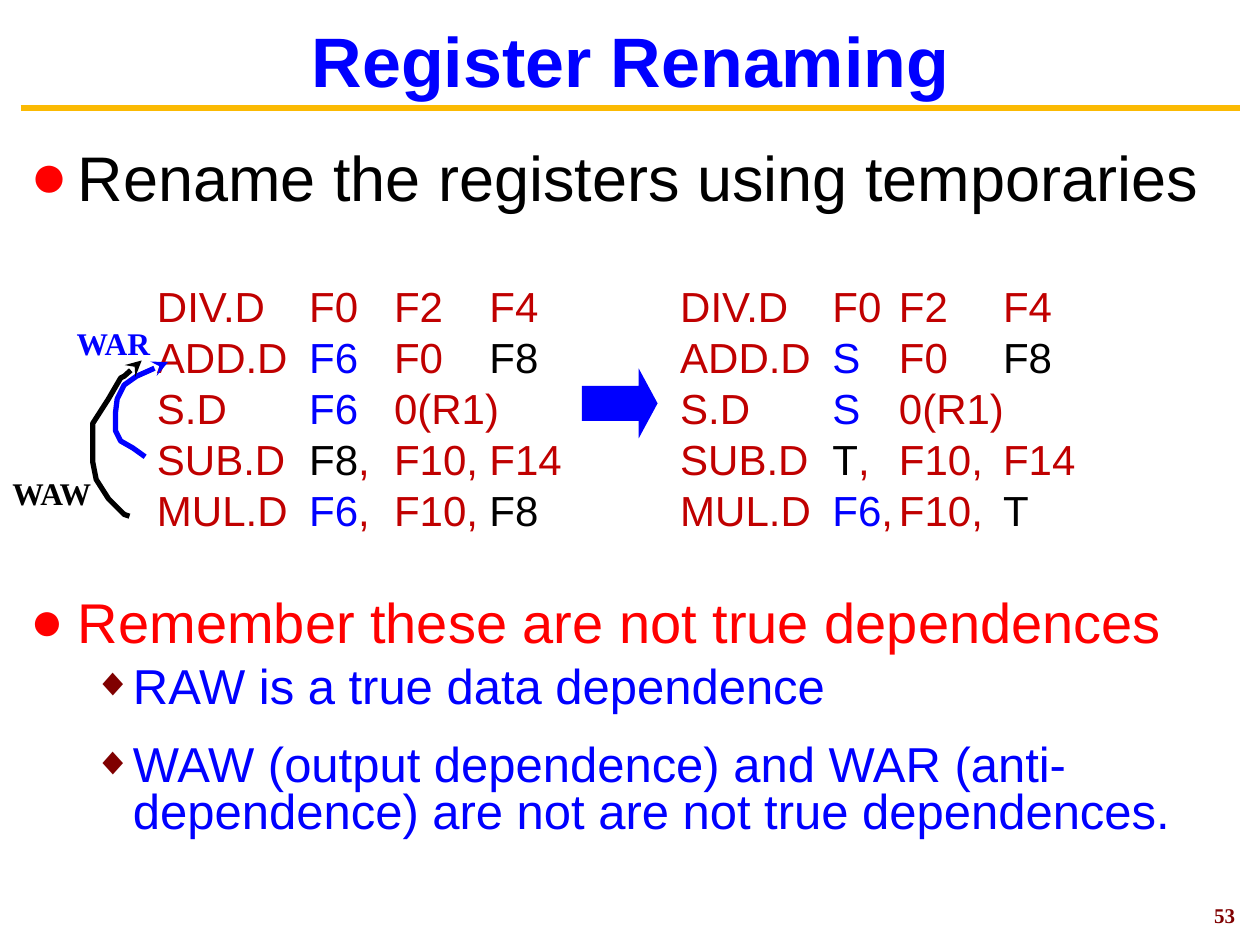
from dataclasses import dataclass

from lxml import etree
from pptx import Presentation
from pptx.dml.color import RGBColor
from pptx.enum.shapes import MSO_CONNECTOR, MSO_SHAPE
from pptx.enum.text import MSO_ANCHOR, MSO_AUTO_SIZE, PP_ALIGN
from pptx.oxml.ns import qn
from pptx.util import Pt

STRAIGHT = MSO_CONNECTOR.STRAIGHT
RIGHT_ARROW = MSO_SHAPE.RIGHT_ARROW
MIDDLE, TOP = MSO_ANCHOR.MIDDLE, MSO_ANCHOR.TOP
NO_FIT = MSO_AUTO_SIZE.NONE
LEFT, CENTER = PP_ALIGN.LEFT, PP_ALIGN.CENTER


@dataclass(frozen=True)
class Theme:
    sans: str = "Arial"
    serif: str = "Times New Roman"
    blue: str = "0000FF"
    black: str = "000000"
    red: str = "FF0000"
    code_red: str = "C00000"
    maroon: str = "800000"
    gold: str = "FBBA03"
    title: int = 40
    lead: int = 36
    point: int = 32
    detail: int = 28
    code: int = 24
    label: int = 18
    number: int = 12


THEME = Theme()
REGISTER_COLORS = {"F6": THEME.blue, "S": THEME.blue,
                   "F8": THEME.black, "T": THEME.black}
CODE_TABS = (87, 135.5, 190, 299, 386, 424, 483.5)
CODE_ROWS = (
    ("DIV.D F0 F2 F4", "DIV.D F0 F2 F4"),
    ("ADD.D F6 F0 F8", "ADD.D S F0 F8"),
    ("S.D F6 0(R1)", "S.D S 0(R1)"),
    ("SUB.D F8, F10, F14", "SUB.D T, F10, F14"),
    ("MUL.D F6, F10, F8", "MUL.D F6, F10, T"),
)
WAR_CURVE = ((82.8, 260.6), (75.5, 256.5), (69, 252), (67, 247.7),
             (65.5, 245.5), (66, 236), (67, 227.5), (70.6, 220.5),
             (78, 215.4), (87, 211), (96.5, 206.6))
WAW_CURVE = ((74.2, 295.2), (70.6, 294.5), (69, 292.3), (62, 285),
             (55.4, 273.6), (52.6, 263.5), (53.3, 242), (62, 227.5),
             (69, 216), (71.3, 214.6), (80.6, 206))


def rgb(color):
    return RGBColor.from_string(color)


def set_font(font, size, color, name=THEME.sans, bold=False):
    font.name, font.size, font.bold = name, Pt(size), bold
    font.color.rgb = rgb(color)


def place(shape, left, top, width, height):
    shape.left, shape.top = Pt(left), Pt(top)
    shape.width, shape.height = Pt(width), Pt(height)


def clear_margins(frame):
    frame.margin_left = frame.margin_right = 0
    frame.margin_top = frame.margin_bottom = 0


def add_bullet(para, char, color, percent, margin, first):
    props = para._p.get_or_add_pPr()
    props.set("marL", str(Pt(margin)))
    props.set("indent", str(Pt(first)))
    tint = etree.SubElement(props, qn("a:buClr"))
    etree.SubElement(tint, qn("a:srgbClr"), val=color)
    etree.SubElement(props, qn("a:buSzPct"), val=str(percent * 1000))
    etree.SubElement(props, qn("a:buFont"), typeface=THEME.sans)
    etree.SubElement(props, qn("a:buChar"), char=char)


def add_tabs(para, stops):
    tabs = etree.SubElement(para._p.get_or_add_pPr(), qn("a:tabLst"))
    for stop in stops:
        etree.SubElement(tabs, qn("a:tab"), pos=str(Pt(stop)), algn="l")


def next_paragraph(frame, before):
    """Return the empty first paragraph, or a new one set off from the last."""
    para = frame.paragraphs[0]
    if para.runs:
        para = frame.add_paragraph()
        para.space_before = Pt(before)
    else:
        para.space_before = Pt(0)
    para.line_spacing = 0.8
    para.alignment = LEFT
    return para


def add_point(frame, text, size, color, before=0):
    para = next_paragraph(frame, before)
    add_bullet(para, "●", THEME.red, 100, 27, -27)
    para.add_run().text = text
    set_font(para.font, size, color)


def add_detail(frame, text, before):
    para = next_paragraph(frame, before)
    para.level = 1
    add_bullet(para, "◆", THEME.maroon, 80, 58.5, -22.5)
    para.add_run().text = text
    set_font(para.font, THEME.detail, THEME.blue)


def add_span(para, text, color):
    span = para.add_run()
    span.text = text
    span.font.color.rgb = rgb(color)


def add_code_row(frame, row):
    """Add one instruction before and after renaming, one tab per column."""
    para = next_paragraph(frame, 6)
    add_tabs(para, CODE_TABS)
    set_font(para.font, THEME.code, THEME.code_red)
    for index, cell in enumerate(" ".join(row).split()):
        name = cell.rstrip(",")
        if index:
            add_span(para, "\t", THEME.code_red)
        add_span(para, name, REGISTER_COLORS.get(name, THEME.code_red))
        if name != cell:
            add_span(para, ",", THEME.code_red)


def add_code(page):
    box = page.shapes.add_textbox(Pt(89.7), Pt(166), Pt(600), Pt(142))
    frame = box.text_frame
    frame.word_wrap = True
    clear_margins(frame)
    for row in CODE_ROWS:
        add_code_row(frame, row)


def add_label(page, text, bounds, size, color, align=LEFT):
    box = page.shapes.add_textbox(*map(Pt, bounds))
    frame = box.text_frame
    frame.word_wrap = False
    frame.vertical_anchor = MIDDLE
    if align == CENTER:
        clear_margins(frame)
    para = frame.paragraphs[0]
    para.alignment = align
    para.add_run().text = text
    set_font(para.font, size, color, THEME.serif, True)


def add_curved_arrow(page, points, color):
    builder = page.shapes.build_freeform(*points[0], scale=Pt(1))
    builder.add_line_segments(points[1:], close=False)
    curve = builder.convert_to_shape()
    curve.shadow.inherit = False
    curve.fill.background()
    curve.line.color.rgb = rgb(color)
    curve.line.width = Pt(3)
    etree.SubElement(curve.line._get_or_add_ln(), qn("a:tailEnd"), type="stealth")


def add_rule(page):
    rule = page.shapes.add_connector(STRAIGHT, Pt(11.8), Pt(61.7), Pt(708.3), Pt(61.7))
    rule.line.color.rgb = rgb(THEME.gold)
    rule.line.width = Pt(3.75)
    etree.SubElement(rule._element.spPr, qn("a:effectLst"))


def add_block_arrow(page):
    arrow = page.shapes.add_shape(RIGHT_ARROW, Pt(332.6), Pt(210.5), Pt(43.2), Pt(40))
    arrow.adjustments[1] = 0.27
    arrow.shadow.inherit = False
    arrow.fill.solid()
    arrow.fill.fore_color.rgb = rgb(THEME.blue)
    arrow.line.fill.background()


def fill_title(title):
    place(title, 13.5, 10, 693.5, 48)
    frame = title.text_frame
    frame.auto_size = NO_FIT
    frame.vertical_anchor = MIDDLE
    para = frame.paragraphs[0]
    para.alignment = CENTER
    para.add_run().text = "Register Renaming"
    set_font(para.font, THEME.title, THEME.blue, bold=True)


def fill_body(body):
    place(body, 10.3, 84, 708.5, 430)
    frame = body.text_frame
    frame.auto_size = NO_FIT
    frame.vertical_anchor = TOP
    add_point(frame, "Rename the registers using temporaries", THEME.lead, THEME.black)
    add_point(frame, "Remember these are not true dependences",
              THEME.point, THEME.red, 221)
    add_detail(frame, "RAW is a true data dependence", 7)
    add_detail(frame, "WAW (output dependence) and WAR (anti-dependence) "
               "are not are not true dependences.", 18)


def main():
    deck = Presentation()
    deck.slide_width, deck.slide_height = Pt(720), Pt(540)
    page = deck.slides.add_slide(deck.slide_layouts[1])
    fill_title(page.shapes.title)
    fill_body(page.placeholders[1])
    add_code(page)
    add_rule(page)
    add_block_arrow(page)
    add_curved_arrow(page, WAR_CURVE, THEME.blue)
    add_curved_arrow(page, WAW_CURVE, THEME.black)
    add_label(page, "WAR", (36.7, 181.5, 58.3, 29), THEME.label, THEME.blue)
    add_label(page, "WAW", (0, 267, 63.4, 29), THEME.label, THEME.black)
    add_label(page, "53", (690.5, 514.5, 18.7, 16.5), THEME.number, THEME.maroon, CENTER)
    deck.save("out.pptx")


if __name__ == "__main__":
    main()
